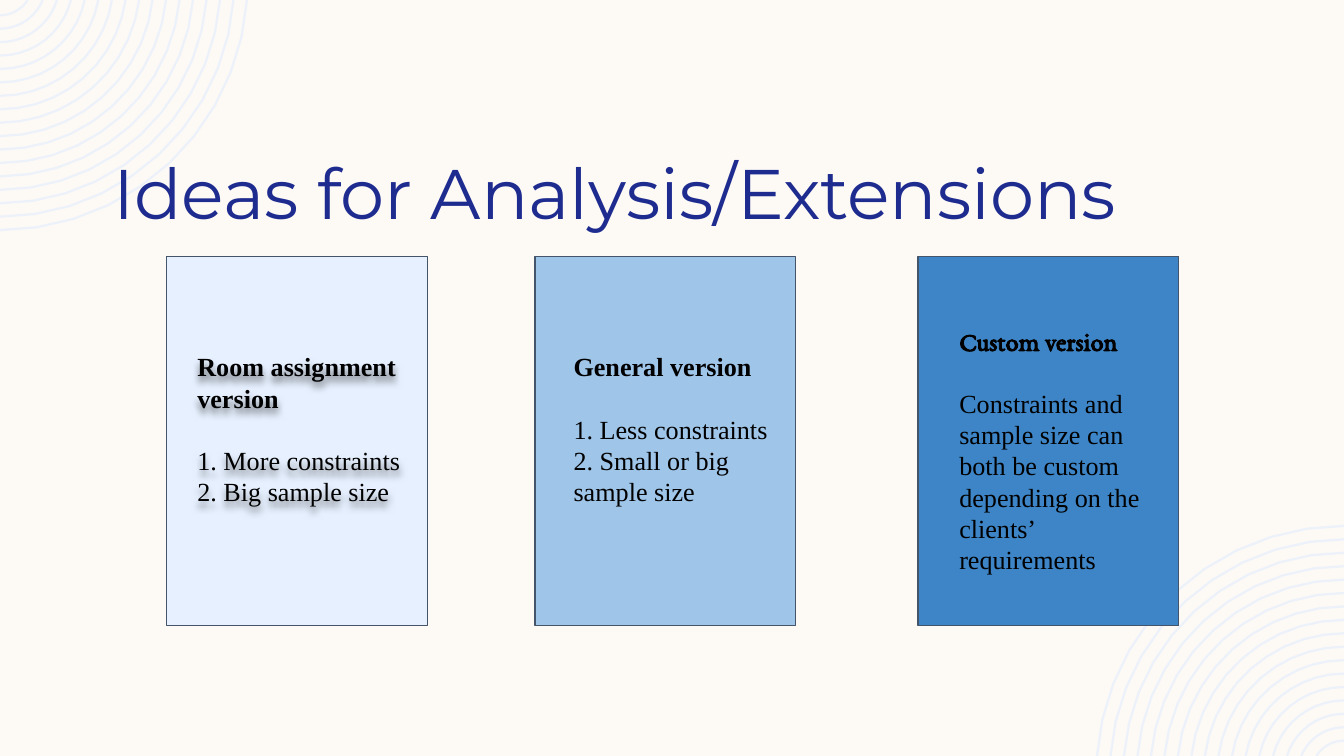
"""Build the slide on ideas for analysis and extensions."""
from dataclasses import dataclass
from math import asin, cos, pi, sin

from lxml import etree
from pptx import Presentation
from pptx.dml.color import RGBColor
from pptx.enum.shapes import MSO_SHAPE
from pptx.oxml.ns import qn
from pptx.util import Cm, Pt

RECTANGLE = MSO_SHAPE.RECTANGLE
SLIDE_WIDTH, SLIDE_HEIGHT = 25.4, 14.29
CARD_TOP, CARD_WIDTH, CARD_HEIGHT = 4.85, 4.93, 6.98
BODY_FONT = "Times New Roman"
RING_COUNT, ARC_STEPS = 17, 10
RING_INNERMOST, RING_OUTERMOST = 0.62, 4.68
RING_CENTRE_ABOVE = 0.33


@dataclass(frozen=True)
class Version:
    """One version of the project, shown on a card."""
    heading: str
    details: tuple[str, ...]
    fill: str
    card_left: float
    text_left: float
    text_top: float
    text_width: float = 4.24
    heading_font: str = BODY_FONT
    shadowed: bool = False


VERSIONS = (
    Version("Room assignment version", ("1. More constraints", "2. Big sample size"),
            "E6F0FE", 3.15, 3.48, 6.38, text_width=5.38, shadowed=True),
    Version("General version", ("1. Less constraints", "2. Small or big sample size"),
            "9FC5E8", 10.11, 10.59, 6.38),
    Version("Custom version",
            ("Constraints and sample size can both be custom depending on the clients’ requirements",),
            "3D85C6", 17.35, 17.88, 5.89, heading_font="EB Garamond"),
)


def paint(colour_format, colour: str) -> None:
    """Set a fill, line or font colour from a hex string."""
    colour_format.rgb = RGBColor.from_string(colour)


def arc(radius: float) -> list[tuple[int, int]]:
    """Return points along an arc from the top edge to the left edge."""
    start = asin(RING_CENTRE_ABOVE / radius)
    angles = [start + (pi / 2 - start) * step / ARC_STEPS for step in range(ARC_STEPS + 1)]
    return [(Cm(radius * cos(angle)), Cm(radius * sin(angle) - RING_CENTRE_ABOVE))
            for angle in angles]


def add_corner_rings(slide, opposite: bool) -> None:
    """Draw concentric rings in the top left or the opposite corner."""
    spacing = (RING_OUTERMOST - RING_INNERMOST) / (RING_COUNT - 1)
    builder = slide.shapes.build_freeform()
    for index in range(RING_COUNT):
        first, *others = arc(RING_OUTERMOST - index * spacing)
        builder.move_to(*first)
        builder.add_line_segments(others, close=False)
    rings = builder.convert_to_shape()
    rings.shadow.inherit = False
    rings.fill.background()
    paint(rings.line.color, "EDF2FA")
    rings.line.width = Pt(1.25)
    if opposite:
        rings.left = Cm(SLIDE_WIDTH) - rings.width
        rings.top = Cm(SLIDE_HEIGHT) - rings.height
        rings.rotation = 180


def add_title(slide, wording: str) -> None:
    """Add the slide title."""
    title = slide.shapes.add_textbox(Cm(1.96), Cm(2.83), Cm(22), Cm(1.63))
    frame = title.text_frame
    frame.word_wrap = True
    frame.margin_left = frame.margin_right = Cm(0.18)
    frame.margin_top = frame.margin_bottom = 0
    paragraph = frame.paragraphs[0]
    paragraph.text = wording
    paragraph.font.name = "Montserrat"
    paragraph.font.size = Pt(37.6)
    paint(paragraph.font.color, "1F2C8F")


def add_text_shadow(box) -> None:
    """Give the text of an unfilled box a soft shadow."""
    effects = etree.SubElement(box._element.spPr, qn("a:effectLst"))
    shadow = etree.SubElement(effects, qn("a:outerShdw"), blurRad="50800", dist="38100",
                              dir="5400000", algn="t", rotWithShape="0")
    colour = etree.SubElement(shadow, qn("a:srgbClr"), val="000000")
    etree.SubElement(colour, qn("a:alpha"), val="50000")


def add_version(slide, version: Version) -> None:
    """Draw a card and the text that describes its version."""
    card = slide.shapes.add_shape(RECTANGLE, Cm(version.card_left), Cm(CARD_TOP),
                                  Cm(CARD_WIDTH), Cm(CARD_HEIGHT))
    card.shadow.inherit = False
    card.fill.solid()
    paint(card.fill.fore_color, version.fill)
    paint(card.line.color, "44546A")
    card.line.width = Pt(0.75)

    description = slide.shapes.add_textbox(Cm(version.text_left), Cm(version.text_top),
                                           Cm(version.text_width), Cm(3.5))
    if version.shadowed:
        add_text_shadow(description)
    frame = description.text_frame
    frame.word_wrap = True
    frame.margin_left = frame.margin_right = Cm(0.25)
    frame.margin_top = frame.margin_bottom = Cm(0.25)
    for index, wording in enumerate((version.heading, *version.details)):
        paragraph = frame.add_paragraph() if index else frame.paragraphs[0]
        paragraph.text = wording
        paragraph.line_spacing = Pt(16.8)
        if index == 1:
            paragraph.space_before = Pt(16.5)
        paragraph.font.name = BODY_FONT if index else version.heading_font
        paragraph.font.size = Pt(14)
        paragraph.font.bold = index == 0
        paint(paragraph.font.color, "000000")


def main() -> None:
    """Build and save the presentation."""
    deck = Presentation()
    deck.slide_width, deck.slide_height = Cm(SLIDE_WIDTH), Cm(SLIDE_HEIGHT)
    slide = deck.slides.add_slide(deck.slide_layouts[6])
    slide.background.fill.solid()
    paint(slide.background.fill.fore_color, "FDFAF6")
    for opposite in (False, True):
        add_corner_rings(slide, opposite)
    add_title(slide, "Ideas for Analysis/Extensions")
    for version in VERSIONS:
        add_version(slide, version)
    deck.save("out.pptx")


if __name__ == "__main__":
    main()
